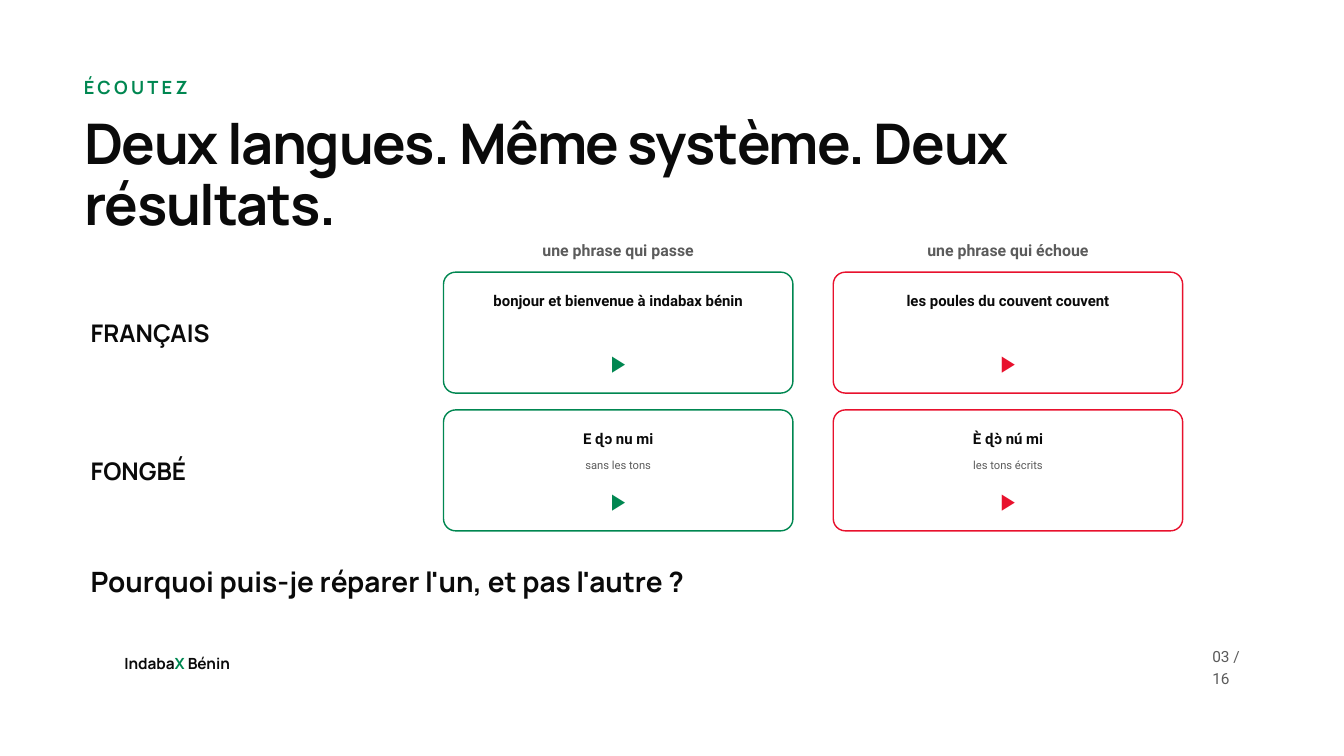
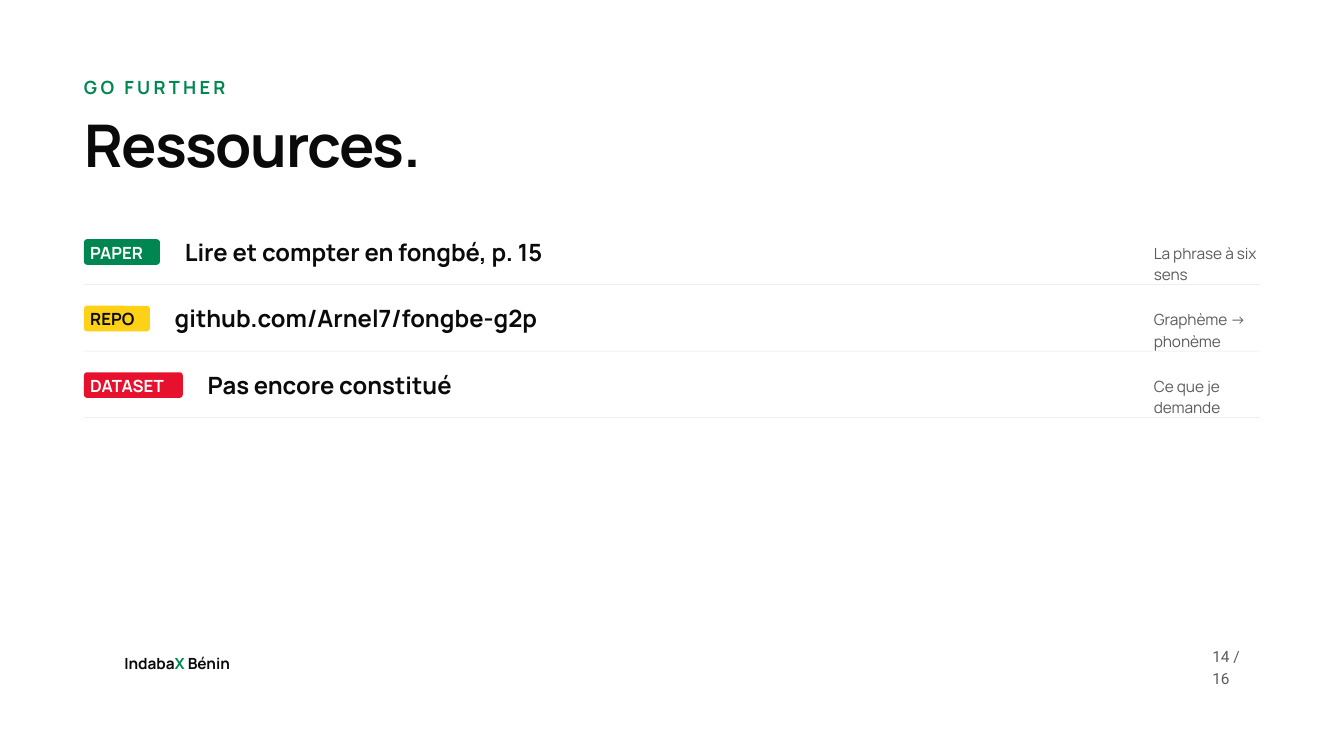
from dataclasses import dataclass

from pptx import Presentation
from pptx.dml.color import RGBColor
from pptx.enum import shapes, text
from pptx.util import Inches, Pt


@dataclass(frozen=True)
class Theme:
    ink: str = "0A0A0A"
    grey: str = "5B5B5B"
    rule: str = "E6E6E6"
    white: str = "FFFFFF"
    green: str = "008751"
    yellow: str = "FCD116"
    red: str = "E8112D"
    display: str = "Manrope"
    body: str = "Roboto"
    small: float = 16.5
    eyebrow: float = 19.5
    column: float = 17
    language: float = 26
    phrase: float = 16
    remark: float = 12
    play: float = 24
    question: float = 30
    tag: float = 18
    resource: float = 25.5


T = Theme()
LEFT, WIDTH = 1.25, 17.5
PAGES = 16

LISTEN = {
    "eyebrow": "ÉCOUTEZ",
    "title": "Deux langues. Même système. Deux résultats.",
    "title_style": dict(top=1.72, width=16.67, height=0.89, size=60, leading=64.8, tracking=-1.5),
    "page": 3,
    "columns": [("une phrase qui passe", T.green), ("une phrase qui échoue", T.red)],
    "languages": [
        ("FRANÇAIS", [("bonjour et bienvenue à indabax bénin", ""),
                      ("les poules du couvent couvent", "")]),
        ("FONGBÉ", [("E ɖɔ nu mi", "sans les tons"),
                    ("È ɖɔ̀ nú mi", "les tons écrits")]),
    ],
    "question": "Pourquoi puis-je réparer l'un, et pas l'autre ?",
}

RESOURCES = {
    "eyebrow": "GO FURTHER",
    "title": "Ressources.",
    "title_style": dict(top=1.75, width=WIDTH, height=0.88, size=63, leading=66.2, tracking=-1.6),
    "page": 14,
    # tag, tag width, tag fill, tag ink, resource, note
    "rows": [
        ("PAPER", 1.13, T.green, T.white, "Lire et compter en fongbé, p. 15", "La phrase à six sens"),
        ("REPO", 0.98, T.yellow, T.ink, "github.com/Arnel7/fongbe-g2p", "Graphème → phonème"),
        ("DATASET", 1.47, T.red, T.white, "Pas encore constitué", "Ce que je demande"),
    ],
}

FOOTER = [("Indaba", T.ink), ("X", T.green), (" Bénin", T.ink)]


def write(shape, runs, size, font=T.display, bold=True, center=False, middle=False,
          insets=None, leading=None, tracking=None, grow=True):
    """Fill a shape with one paragraph of (wording, colour) runs."""
    frame = shape.text_frame
    fit = text.MSO_AUTO_SIZE.SHAPE_TO_FIT_TEXT if grow else text.MSO_AUTO_SIZE.NONE
    anchor = text.MSO_ANCHOR.MIDDLE if middle else text.MSO_ANCHOR.TOP
    settings = {"word_wrap": True, "auto_size": fit, "vertical_anchor": anchor}
    if insets:
        sides = ("margin_left", "margin_top", "margin_right", "margin_bottom")
        settings.update(zip(sides, map(Inches, insets)))
    for name, value in settings.items():
        setattr(frame, name, value)
    paragraph = frame.paragraphs[0]
    paragraph.alignment = text.PP_ALIGN.CENTER if center else text.PP_ALIGN.LEFT
    if leading:
        paragraph.line_spacing = Pt(leading)
    for wording, color in runs:
        run = paragraph.add_run()
        run.text = wording
        for name, value in {"name": font, "size": Pt(size), "bold": bold}.items():
            setattr(run.font, name, value)
        run.font.color.rgb = RGBColor.from_string(color)
        if tracking:
            run._r.get_or_add_rPr().set("spc", str(round(tracking * 100)))


def label(slide, at, wording, size, color=T.ink, **style):
    """Add a text box whose text is centred on its height."""
    box = slide.shapes.add_textbox(*map(Inches, at))
    write(box, [(wording, color)], size, middle=True, **style)


def flush(slide, at, runs, size, leading, **style):
    """Add a text box without insets, starting at its top."""
    box = slide.shapes.add_textbox(*map(Inches, at))
    write(box, runs, size, insets=(0, 0, 0, 0), leading=leading, **style)


def panel(slide, at, fill, outline=None, radius=None):
    kind = shapes.MSO_SHAPE.ROUNDED_RECTANGLE if radius else shapes.MSO_SHAPE.RECTANGLE
    shape = slide.shapes.add_shape(kind, *map(Inches, at))
    shape.shadow.inherit = False
    shape.fill.solid()
    shape.fill.fore_color.rgb = RGBColor.from_string(fill)
    if radius:
        shape.adjustments[0] = radius
    if outline:
        shape.line.color.rgb = RGBColor.from_string(outline)
        shape.line.width = Pt(1.5)
    else:
        shape.line.fill.background()
    return shape


def start_slide(deck, content):
    """Add a slide with the eyebrow, title and footer that all slides share."""
    slide = deck.slides.add_slide(deck.slide_layouts[5])
    style = dict(content["title_style"])
    title = slide.shapes.title
    place = {"left": LEFT, **{side: style.pop(side) for side in ("top", "width", "height")}}
    for side, value in place.items():
        setattr(title, side, Inches(value))
    write(title, [(content["title"], T.ink)], insets=(0, 0, 0, 0), **style)
    flush(slide, (LEFT, 1.08, WIDTH, 0.33), [(content["eyebrow"], T.green)],
          T.eyebrow, 27.3, tracking=3.5)
    flush(slide, (1.85, 9.69, 1.73, 0.28), FOOTER, T.small, 23.1)
    flush(slide, (18.04, 9.59, 0.71, 0.47), [(f"{content['page']:02} / {PAGES}", T.grey)],
          T.small, 23.1, font=T.body, bold=False)
    return slide


def build_listen(deck):
    slide = start_slide(deck, LISTEN)
    card_width, card_height = 5.2, 1.8
    first_x, first_y, step_x, step_y = 6.6, 4.05, 5.8, 2.05
    caption = dict(font=T.body, center=True)

    for column, (heading, _) in enumerate(LISTEN["columns"]):
        label(slide, (first_x + column * step_x, 3.5, card_width, 0.45),
              heading, T.column, T.grey, **caption)

    for row, (language, phrases) in enumerate(LISTEN["languages"]):
        y = first_y + row * step_y
        label(slide, (LEFT, y + 0.55, 5, 0.7), language, T.language)
        for column, (phrase, remark) in enumerate(phrases):
            x = first_x + column * step_x
            accent = LISTEN["columns"][column][1]
            panel(slide, (x, y, card_width, card_height), T.white, accent, radius=0.1)
            label(slide, (x + 0.2, y + 0.16, card_width - 0.4, 0.52), phrase, T.phrase, **caption)
            if remark:
                label(slide, (x + 0.2, y + 0.66, card_width - 0.4, 0.32),
                      remark, T.remark, T.grey, bold=False, **caption)
            label(slide, (x, y + 1.02, card_width, 0.65), "▶", T.play, accent, center=True)

    label(slide, (LEFT, 8.25, WIDTH, 0.8), LISTEN["question"], T.question)


def build_resources(deck):
    slide = start_slide(deck, RESOURCES)
    first_y, step_y, resource_end = 3.56, 0.99, 16.8
    for row, (tag, tag_width, fill, ink, resource, note) in enumerate(RESOURCES["rows"]):
        y = first_y + row * step_y
        panel(slide, (LEFT, y + 0.67, WIDTH, 0.01), T.rule)
        badge = panel(slide, (LEFT, y, tag_width, 0.38), fill, radius=0.12)
        write(badge, [(tag, ink)], T.tag, middle=True, leading=25.2,
              insets=(0.08, 0, 0.08, 0.04), grow=False)
        x = LEFT + tag_width + 0.37
        flush(slide, (x, y - 0.1, resource_end - x, 0.44), [(resource, T.ink)], T.resource, 35.7)
        flush(slide, (17.17, y + 0.02, 1.58, 0.28), [(note, T.grey)], T.small, 23.1, bold=False)


def main():
    deck = Presentation()
    deck.slide_width, deck.slide_height = Inches(20), Inches(11.25)
    build_listen(deck)
    build_resources(deck)
    deck.save("out.pptx")


if __name__ == "__main__":
    main()
